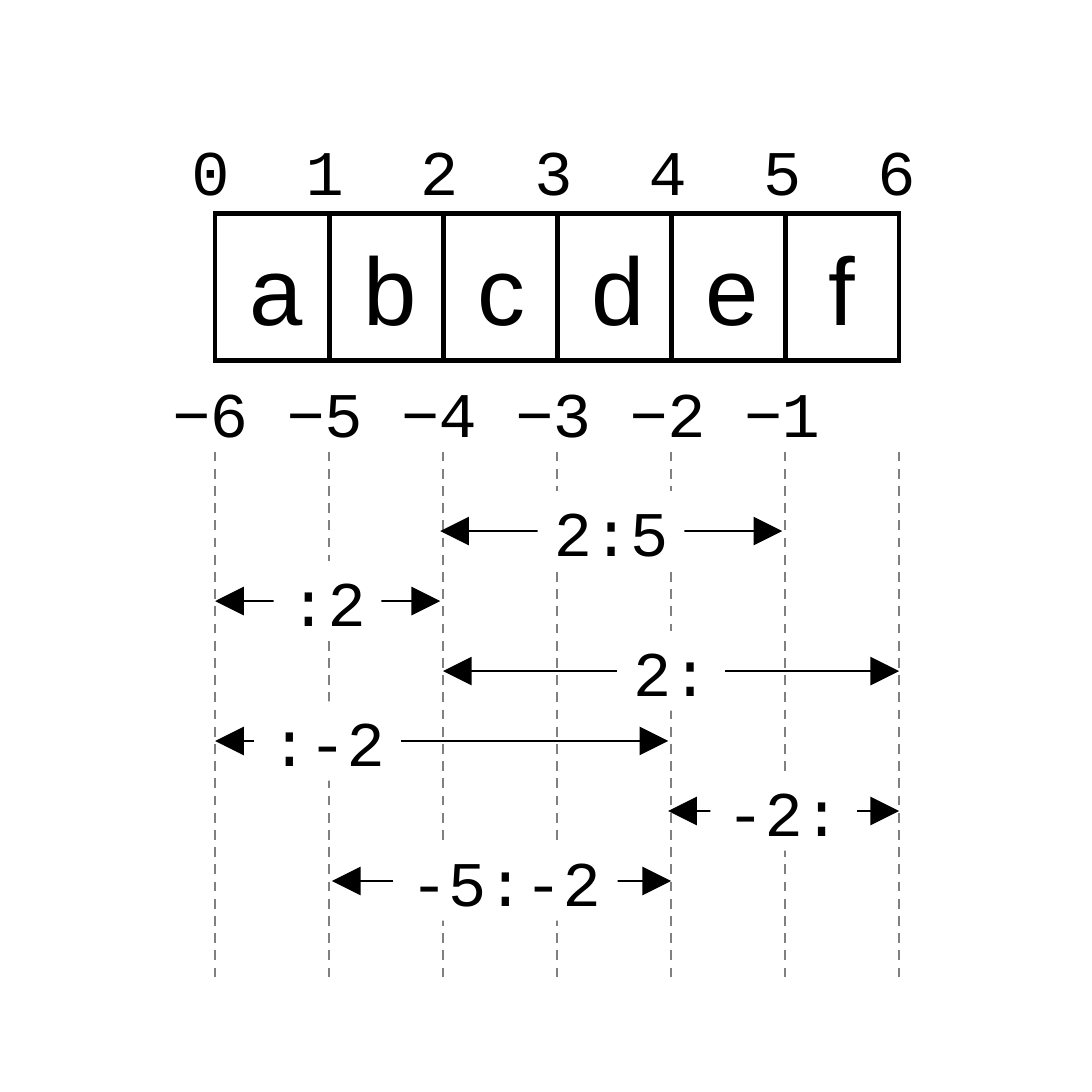
from dataclasses import dataclass

from lxml import etree
from pptx import Presentation
from pptx.dml.color import RGBColor
from pptx.enum.dml import MSO_LINE
from pptx.enum.shapes import MSO_CONNECTOR, MSO_SHAPE
from pptx.enum.text import MSO_ANCHOR, PP_ALIGN
from pptx.oxml.ns import qn
from pptx.shapes.connector import Connector
from pptx.shapes.shapetree import GroupShapes, SlideShapes
from pptx.text.text import TextFrame
from pptx.util import Pt

RECTANGLE = MSO_SHAPE.RECTANGLE
STRAIGHT = MSO_CONNECTOR.STRAIGHT
DASH = MSO_LINE.DASH
CENTER = PP_ALIGN.CENTER
MIDDLE = MSO_ANCHOR.MIDDLE


@dataclass(frozen=True)
class Theme:
    ink: RGBColor = RGBColor(0, 0, 0)
    paper: RGBColor = RGBColor(255, 255, 255)
    guide: RGBColor = RGBColor(128, 128, 128)
    sans: str = "Arial"
    mono: str = "Courier New"
    letter_size: float = 19.9
    label_size: float = 13.2
    thin: float = 0.5
    border: float = 1


@dataclass(frozen=True)
class Run:
    text: str
    font: str
    size: float


@dataclass(frozen=True)
class Slice:
    text: str
    start: int
    stop: int
    start_nudge: float = 0
    stop_nudge: float = 0
    label_shift: float = 0


THEME = Theme()
SLIDE_SIDE = 226.8
LETTERS = "abcdef"
GRID_LEFT, STEP = 44.68, 23.68
CELL_TOP, CELL_HEIGHT = 44.45, 30.5
INDEX_TOP, NEGATIVE_TOP, INDEX_HEIGHT = 25.9, 76.3, 18.7
INDEX_CENTER, INDEX_STEP = 43.7, 23.75
GUIDE_TOP, GUIDE_BOTTOM = 93.8, 203.2
FIRST_SLICE_Y, SLICE_GAP = 110.3, 14.54
LABEL_PADDING, CHARACTER_WIDTH, LABEL_HEIGHT = 6.2, 8.1, 16.5
LABEL_INSET, INDEX_INSET = 2.9, 0
SLICES = (
    Slice("2:5", 2, 5, -0.6, -0.6),
    Slice(":2", 0, 2, 0, -0.6),
    Slice("2:", 2, 6),
    Slice(":-2", 0, 4, 0, -0.6, -STEP),
    Slice("-2:", 4, 6, -0.6, 0),
    Slice("-5:-2", 1, 4, 0.6, 0, 0.8),
)


def grid_x(index: int) -> float:
    return GRID_LEFT + index * STEP


def write_runs(frame: TextFrame, *runs: Run) -> None:
    frame.vertical_anchor = MIDDLE
    paragraph = frame.paragraphs[0]
    paragraph.alignment = CENTER
    for item in runs:
        run = paragraph.add_run()
        run.text = item.text
        run.font.name = item.font
        run.font.size = Pt(item.size)
        run.font.color.rgb = THEME.ink


def set_unwrapped(frame: TextFrame, inset: float) -> None:
    frame.word_wrap = False
    frame.margin_left = frame.margin_right = Pt(inset)
    frame.margin_top = frame.margin_bottom = 0


def add_line(shapes: SlideShapes | GroupShapes, left: float, top: float,
             right: float, bottom: float, color: RGBColor) -> Connector:
    line = shapes.add_connector(STRAIGHT, Pt(left), Pt(top), Pt(right), Pt(bottom))
    line.line.color.rgb = color
    line.line.width = Pt(THEME.thin)
    etree.SubElement(line._element.spPr, qn("a:effectLst"))
    return line


def add_guide(shapes: SlideShapes, index: int) -> None:
    x = grid_x(index)
    add_line(shapes, x, GUIDE_TOP, x, GUIDE_BOTTOM, THEME.guide).line.dash_style = DASH


def add_cell(shapes: SlideShapes, index: int, letter: str) -> None:
    cell = shapes.add_shape(RECTANGLE, Pt(grid_x(index)), Pt(CELL_TOP),
                            Pt(STEP), Pt(CELL_HEIGHT))
    cell.shadow.inherit = False
    cell.fill.solid()
    cell.fill.fore_color.rgb = THEME.paper
    cell.line.color.rgb = THEME.ink
    cell.line.width = Pt(THEME.border)
    etree.SubElement(cell.line._get_or_add_ln(), qn("a:miter"), lim="800000")
    write_runs(cell.text_frame, Run(letter, THEME.sans, THEME.letter_size))


def add_index(shapes: SlideShapes, index: int, top: float, *runs: Run) -> None:
    left = INDEX_CENTER + index * INDEX_STEP - STEP / 2
    box = shapes.add_textbox(Pt(left), Pt(top), Pt(STEP), Pt(INDEX_HEIGHT))
    set_unwrapped(box.text_frame, INDEX_INSET)
    write_runs(box.text_frame, *runs)


def add_slice(shapes: SlideShapes, row: int, item: Slice) -> None:
    group = shapes.add_group_shape().shapes
    y = FIRST_SLICE_Y + row * SLICE_GAP
    start = grid_x(item.start) + item.start_nudge
    stop = grid_x(item.stop) + item.stop_nudge
    arrow = add_line(group, start, y, stop, y, THEME.ink)
    outline = arrow.line._get_or_add_ln()
    for end in ("a:headEnd", "a:tailEnd"):
        etree.SubElement(outline, qn(end), type="triangle")

    width = LABEL_PADDING + CHARACTER_WIDTH * len(item.text)
    left = (start + stop - width) / 2 + item.label_shift
    label = group.add_shape(RECTANGLE, Pt(left), Pt(y - LABEL_HEIGHT / 2),
                            Pt(width), Pt(LABEL_HEIGHT))
    label.shadow.inherit = False
    label.fill.solid()
    label.fill.fore_color.rgb = THEME.paper
    label.line.fill.background()
    set_unwrapped(label.text_frame, LABEL_INSET)
    write_runs(label.text_frame, Run(item.text, THEME.mono, THEME.label_size))


presentation = Presentation()
presentation.slide_width = presentation.slide_height = Pt(SLIDE_SIDE)
slide = presentation.slides.add_slide(presentation.slide_layouts[6])
count = len(LETTERS)

for position in range(count + 1):
    add_guide(slide.shapes, position)
    add_index(slide.shapes, position, INDEX_TOP,
              Run(str(position), THEME.mono, THEME.label_size))

for position, letter in enumerate(LETTERS):
    add_cell(slide.shapes, position, letter)
    add_index(slide.shapes, position, NEGATIVE_TOP,
              Run("−", THEME.sans, THEME.label_size),
              Run(str(count - position), THEME.mono, THEME.label_size))

for row, item in enumerate(SLICES):
    add_slice(slide.shapes, row, item)

presentation.save("out.pptx")
